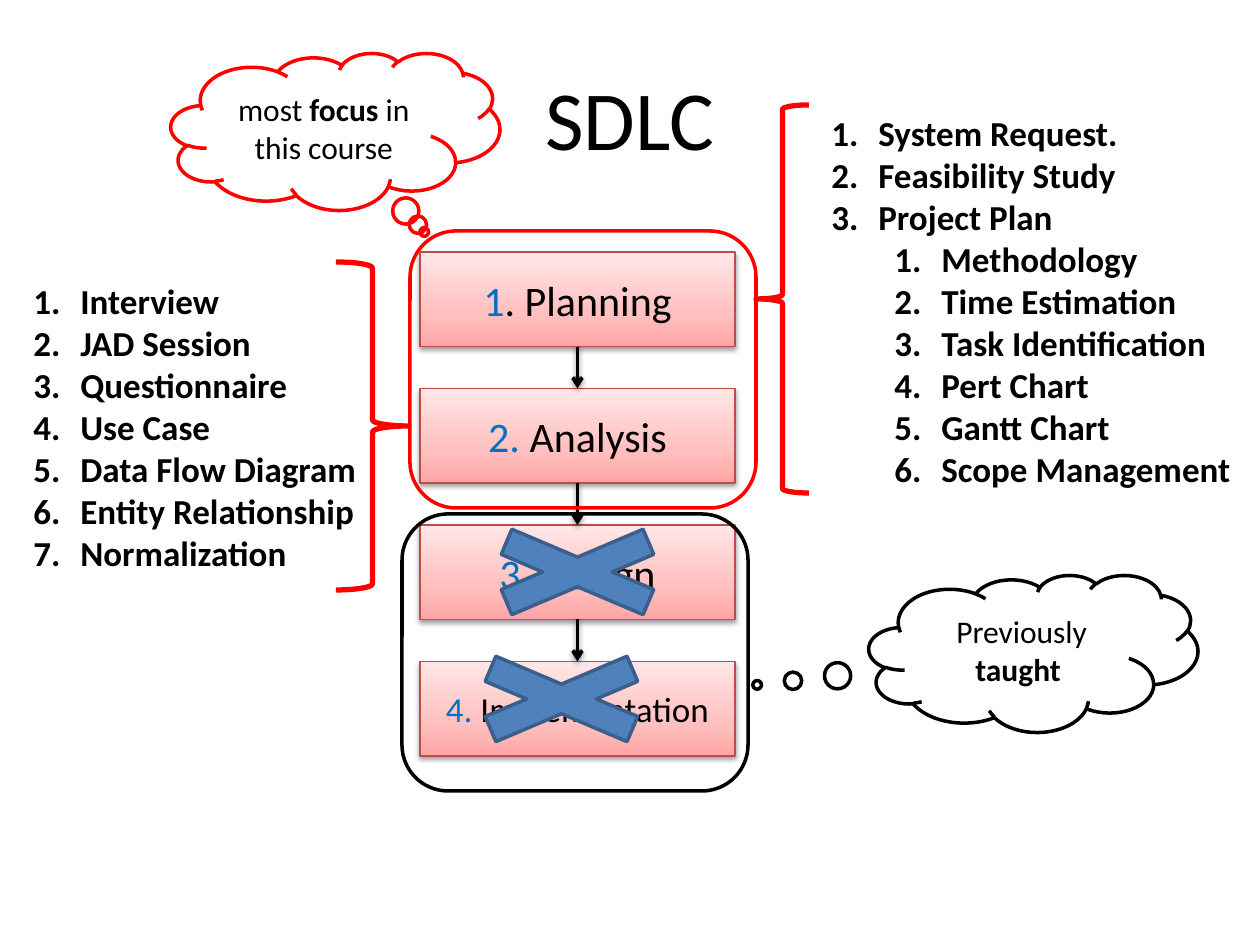
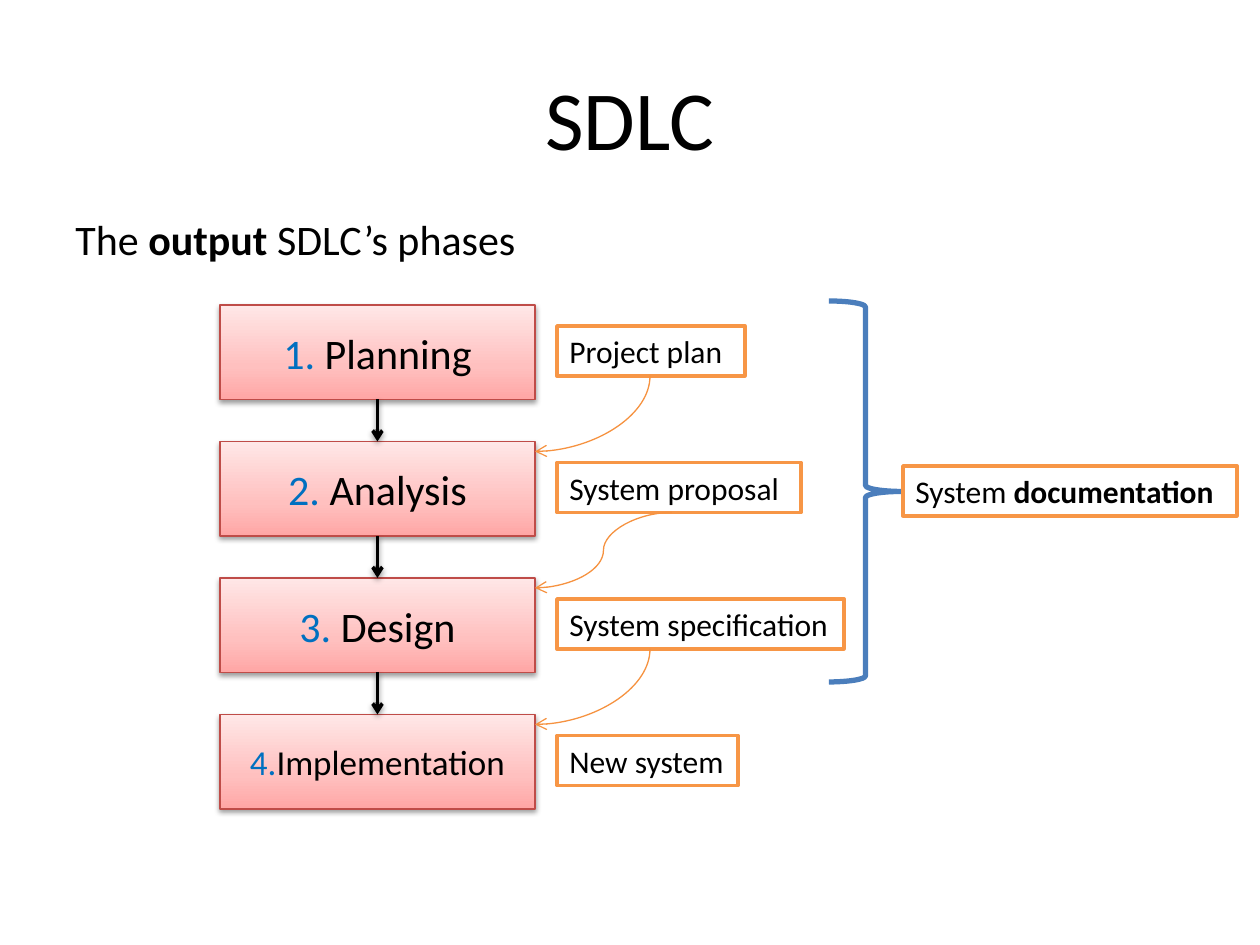
from copy import deepcopy

from lxml.etree import SubElement
from pptx import Presentation
from pptx.dml.color import RGBColor
from pptx.enum.shapes import MSO_CONNECTOR, MSO_SHAPE
from pptx.enum.text import MSO_ANCHOR, MSO_AUTO_SIZE, PP_ALIGN
from pptx.oxml.ns import qn
from pptx.util import Emu, Pt

FONT = "Calibri"
COLORS = {
    "ink": "000000",
    "paper": "FFFFFF",
    "number": "0070C0",
    "phase_line": "BF4C48",
    "phase_low": "FFA6A5",
    "phase_mid": "FFC0BF",
    "phase_high": "FFE7E7",
    "focus": "FF0000",
    "cross": "4F81BD",
    "cross_line": "3A5F8C",
    "output": "F79646",
    "flow": "F69240",
    "brace": "4B7EBC",
}
PHASES = 4
PHASE_GAP = 42
TITLE_BOX = (63, 38, 1134, 157)


def px(length):
    """Turn picture pixels into EMU."""
    return Emu(round(length * 914400 / 126))


def place(box):
    """Turn a pixel box into EMU."""
    return [px(length) for length in box]


def rgb(color):
    """Look up a colour by its role."""
    return RGBColor.from_string(COLORS[color])


def add_run(paragraph, text, size, color="ink", bold=False):
    """Add one formatted run."""
    run = paragraph.add_run()
    run.text = text
    run.font.name = FONT
    run.font.size = Pt(size)
    run.font.bold = bold
    run.font.color.rgb = rgb(color)


def set_line(part, color, width):
    """Give a shape or connector a solid line."""
    part.line.color.rgb = rgb(color)
    part.line.width = Pt(width)


def add_soft_shadow(effects):
    """Put the soft downward shadow into an effect list."""
    shadow = SubElement(effects, qn("a:outerShdw"), blurRad="40000", dist="20000",
                        dir="5400000", rotWithShape="0")
    black = SubElement(shadow, qn("a:srgbClr"), val=COLORS["ink"])
    SubElement(black, qn("a:alpha"), val="38000")


def add_outline(slide, preset, box, color, width, fill=None):
    """Add a preset shape with a line and an optional fill."""
    shape = slide.shapes.add_shape(preset, *place(box))
    shape.shadow.inherit = False
    set_line(shape, color, width)
    if fill:
        shape.fill.solid()
        shape.fill.fore_color.rgb = rgb(fill)
    else:
        shape.fill.background()
    return shape


def add_arrow(slide, preset, points, color, width):
    """Add a connector with an arrowhead and return it with its effect list."""
    arrow = slide.shapes.add_connector(preset, *place(points))
    set_line(arrow, color, width)
    SubElement(arrow.line._get_or_add_ln(), qn("a:tailEnd"), type="arrow")
    return arrow, SubElement(arrow._element.spPr, qn("a:effectLst"))


def add_title(slide, text):
    """Place the slide title."""
    title = slide.shapes.title
    title.left, title.top, title.width, title.height = place(TITLE_BOX)
    title.text_frame.vertical_anchor = MSO_ANCHOR.MIDDLE
    heading = title.text_frame.paragraphs[0]
    heading.alignment = PP_ALIGN.CENTER
    add_run(heading, text, 48)


def add_phase(slide, box, number, name, size):
    """Add one gradient phase box."""
    phase = add_outline(slide, MSO_SHAPE.RECTANGLE, box, "phase_line", 0.75)
    phase.fill.gradient()
    phase.fill.gradient_angle = 90
    first = phase._element.spPr.find(".//" + qn("a:gs"))
    first.addnext(deepcopy(first))
    stops = [(0, "phase_low"), (0.35, "phase_mid"), (1, "phase_high")]
    for stop, (position, color) in zip(phase.fill.gradient_stops, stops):
        stop.position = position
        stop.color.rgb = rgb(color)
    add_soft_shadow(phase._element.spPr.find(qn("a:effectLst")))
    label = phase.text_frame.paragraphs[0]
    label.alignment = PP_ALIGN.CENTER
    add_run(label, number, size, "number")
    add_run(label, name, size)


def add_phase_stack(slide, box, labels):
    """Stack the phases in a box, with an arrow in every gap."""
    left, top, width, height = box
    phase_height = (height - (PHASES - 1) * PHASE_GAP) / PHASES
    tops = [top + row * (phase_height + PHASE_GAP) for row in range(PHASES)]
    for phase_top, label in zip(tops, labels):
        add_phase(slide, (left, phase_top, width, phase_height), *label)
    middle = left + width / 2
    for next_top in tops[1:]:
        points = (middle, next_top - PHASE_GAP, middle, next_top)
        add_soft_shadow(add_arrow(slide, MSO_CONNECTOR.STRAIGHT, points, "ink", 2)[1])
    return tops


def add_text(slide, box, runs, size):
    """Add a one-line text box from (text, bold) runs."""
    text_box = slide.shapes.add_textbox(*place(box))
    text_box.text_frame.word_wrap = False
    text_box.text_frame.auto_size = MSO_AUTO_SIZE.SHAPE_TO_FIT_TEXT
    for text, bold in runs:
        add_run(text_box.text_frame.paragraphs[0], text, size, bold=bold)
    return text_box


def add_output(slide, box, runs):
    """Add an orange-framed output label."""
    output = add_text(slide, box, runs, 18)
    output.fill.solid()
    output.fill.fore_color.rgb = rgb("paper")
    set_line(output, "output", 2)


def add_numbered_list(slide, box, items):
    """Add a bold numbered list of (level, text) items."""
    frame = add_text(slide, box, [], 20).text_frame
    for index, (level, text) in enumerate(items):
        item = frame.add_paragraph() if index else frame.paragraphs[0]
        item.level = level
        properties = item._p.get_or_add_pPr()
        properties.set("marL", str(px(47 + 63 * level)))
        properties.set("indent", str(-px(47)))
        SubElement(properties, qn("a:buFont"), typeface="+mj-lt")
        SubElement(properties, qn("a:buAutoNum"), type="arabicPeriod")
        add_run(item, text, 20, bold=True)


def add_thought(slide, box, tail, color, runs):
    """Add a thought cloud whose bubbles lead to the tail offset."""
    cloud = add_outline(slide, MSO_SHAPE.CLOUD_CALLOUT, box, color, 2)
    cloud.adjustments[0], cloud.adjustments[1] = tail
    thought = cloud.text_frame.paragraphs[0]
    thought.alignment = PP_ALIGN.CENTER
    for text, bold in runs:
        add_run(thought, text, 18, bold=bold)


def add_quarter_curve(slide, start, end):
    """Curve down from the start, then left into the end."""
    (x1, y1), (x2, y2) = start, end
    middle_x, middle_y = (x1 + x2) / 2, (y1 + y2) / 2
    half_run, half_drop = (x1 - x2) / 2, (y2 - y1) / 2
    points = (middle_x - half_drop, middle_y - half_run,
              middle_x + half_drop, middle_y + half_run)
    curve, _ = add_arrow(slide, MSO_CONNECTOR.CURVE, points, "flow", 0.75)
    properties = curve._element.spPr
    properties.find(qn("a:prstGeom")).set("prst", "curvedConnector2")
    properties.find(qn("a:xfrm")).set("rot", "5400000")


def build_scope_slide(slide):
    """Show which phases the course covers and their topics."""
    add_title(slide, "SDLC")
    add_phase_stack(slide, (420, 252, 315, 504), [
        ("1", ". Planning", 24), ("2. ", "Analysis", 24),
        ("3. ", "Design", 24), ("4. ", "Implementation", 20)])
    planning = ["System Request.", "Feasibility Study", "Project Plan"]
    project_plan = ["Methodology", "Time Estimation", "Task Identification",
                    "Pert Chart", "Gantt Chart", "Scope Management"]
    analysis = ["Interview", "JAD Session", "Questionnaire", "Use Case",
                "Data Flow Diagram", "Entity Relationship", "Normalization"]
    add_numbered_list(slide, (819, 105, 428, 394),
                      [(0, topic) for topic in planning]
                      + [(1, topic) for topic in project_plan])
    add_numbered_list(slide, (21, 273, 350, 310), [(0, topic) for topic in analysis])
    add_outline(slide, MSO_SHAPE.RIGHT_BRACE, (336, 262, 73, 328), "focus", 3)
    add_outline(slide, MSO_SHAPE.LEFT_BRACE, (756, 105, 53, 388), "focus", 3)
    add_outline(slide, MSO_SHAPE.ROUNDED_RECTANGLE, (410, 231, 346, 277), "focus", 2)
    add_thought(slide, (171, 53, 329, 157), (0.27, 0.64), "focus",
                [("most ", False), ("focus", True), (" in this course", False)])
    add_outline(slide, MSO_SHAPE.ROUNDED_RECTANGLE, (402, 514, 346, 277), "ink", 2)
    add_thought(slide, (869, 575, 329, 157), (-0.84, 0.2), "ink",
                [("Previously ", False), ("taught ", True)])
    for left, top in [(441, 514), (425, 641)]:
        add_outline(slide, MSO_SHAPE.MATH_MULTIPLY, (left, top, 273, 116),
                    "cross_line", 2, "cross")


def build_output_slide(slide):
    """Show the output of each phase feeding the next one."""
    add_title(slide, "SDLC")
    left, width, output_height = 220, 315, 50
    tops = add_phase_stack(slide, (left, 305, width, 504), [
        ("1. ", "Planning", 24), ("2. ", "Analysis", 24),
        ("3. ", "Design", 24), ("4.", "Implementation", 20)])
    add_text(slide, (63, 207, 470, 63),
             [("The ", False), ("output", True), (" SDLC’s phases", False)], 24)
    outputs = [("Project plan ", 188), ("System proposal ", 244),
               ("System specification", 287), ("New system", 181)]
    for top, (name, output_width) in zip(tops, outputs):
        add_output(slide, (557, top + 21, output_width, output_height), [(name, False)])
    add_outline(slide, MSO_SHAPE.RIGHT_BRACE, (829, 301, 73, 381), "brace", 3)
    add_output(slide, (903, 466, 334, output_height),
               [("System ", False), ("documentation ", True)])
    starts = [top + 21 + output_height for top in tops]
    ends = [top + 10 for top in tops[1:]]
    right = left + width
    add_quarter_curve(slide, (650, starts[0]), (right, ends[0]))
    add_arrow(slide, MSO_CONNECTOR.CURVE, (672, starts[1], right, ends[1]), "flow", 0.75)
    add_quarter_curve(slide, (650, starts[2]), (right, ends[2]))


deck = Presentation()
deck.slide_width, deck.slide_height = px(1260), px(945)
for build in (build_scope_slide, build_output_slide):
    build(deck.slides.add_slide(deck.slide_layouts[5]))
deck.save("out.pptx")
